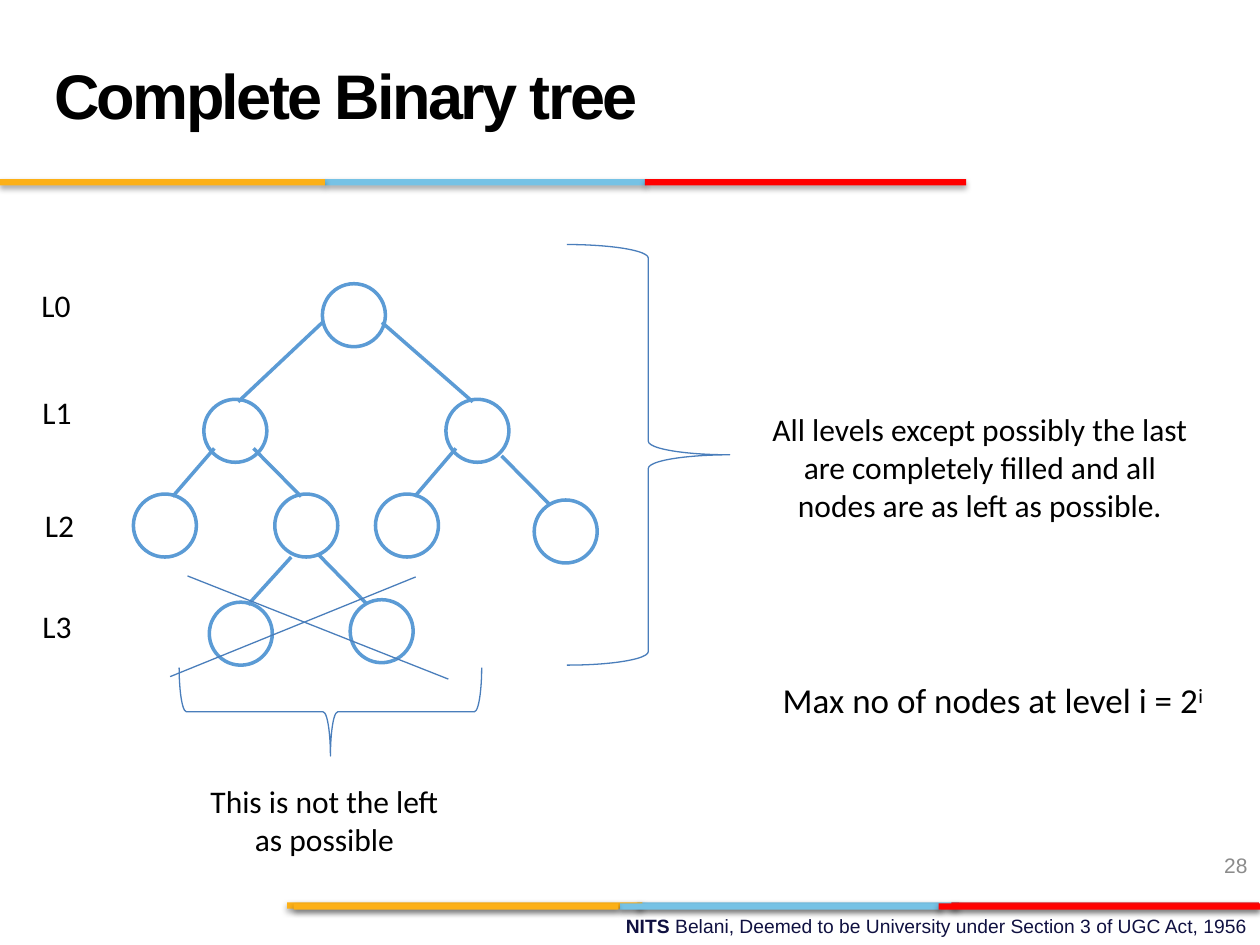
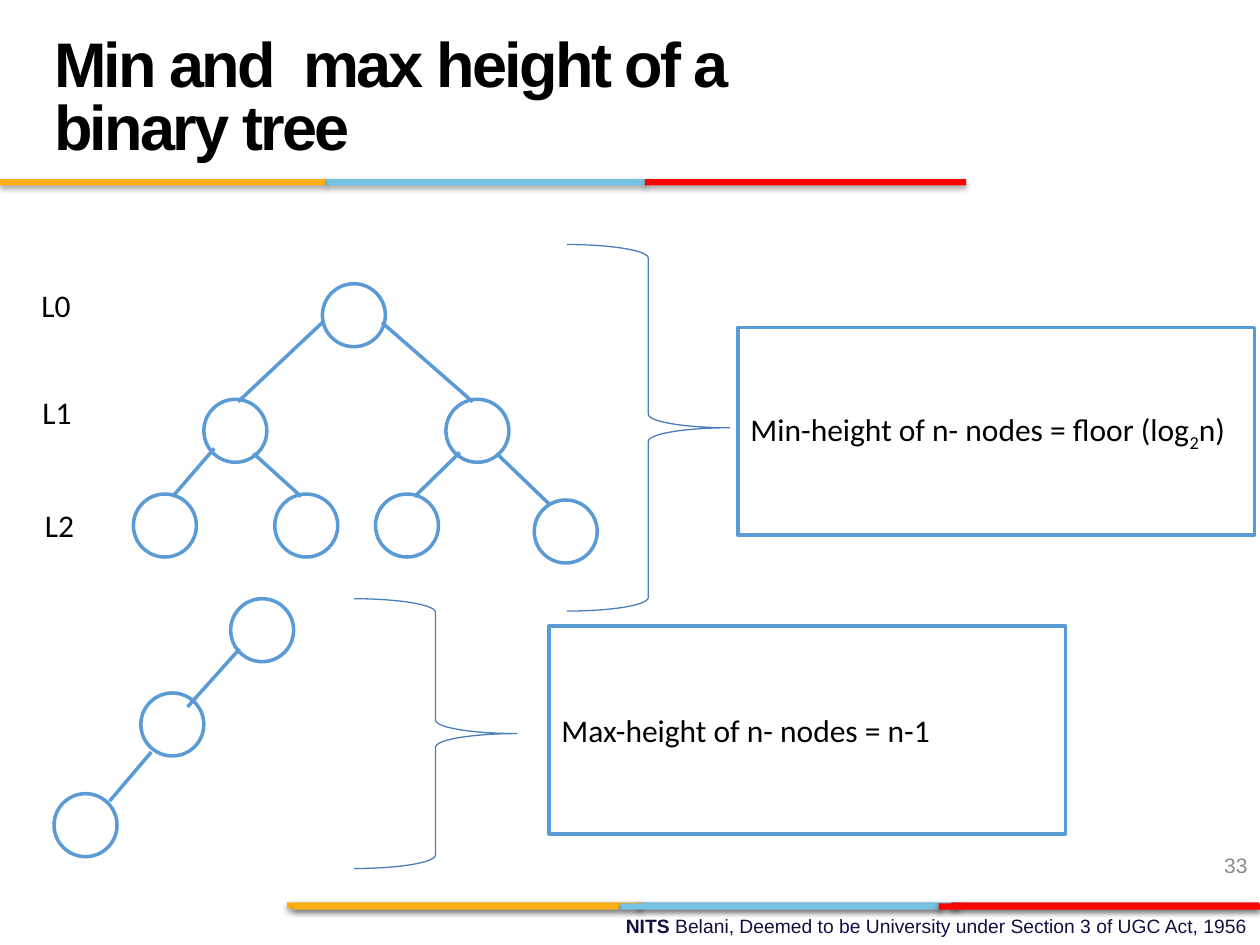
from lxml import etree
from pptx import Presentation
from pptx.dml.color import RGBColor
from pptx.enum.shapes import MSO_CONNECTOR, MSO_SHAPE
from pptx.enum.text import MSO_ANCHOR, PP_ALIGN
from pptx.oxml import parse_xml
from pptx.oxml.ns import nsdecls, qn
from pptx.util import Cm, Pt

OVAL, RECTANGLE, BRACE = MSO_SHAPE.OVAL, MSO_SHAPE.RECTANGLE, MSO_SHAPE.RIGHT_BRACE
STRAIGHT = MSO_CONNECTOR.STRAIGHT
LEFT, CENTER, RIGHT = PP_ALIGN.LEFT, PP_ALIGN.CENTER, PP_ALIGN.RIGHT
TOP, MIDDLE = MSO_ANCHOR.TOP, MSO_ANCHOR.MIDDLE
color = RGBColor.from_string

WHITE, BLACK, GRAY, NAVY = "FFFFFF", "000000", "8B8B8B", "101141"
YELLOW, SKY, RED, CRIMSON = "FCB017", "76C2E5", "FF0000", "E31C24"
TREE_BLUE, MARK_BLUE = "5B9BD5", "4A7EBB"
TREE_WIDTH, MARK_WIDTH = 2, 0.75
NODE = 1.27

# Bands: top, then (left, width, colour) from back to front
BANDS = [
    (18.19, [(12.85, 6.48, SKY), (19.18, 6.2, CRIMSON), (5.79, 7.16, YELLOW)]),
    (18.21, [(12.5, 6.48, SKY), (5.92, 6.55, YELLOW), (18.92, 6.48, RED)]),
    (3.61, [(6.55, 6.48, SKY), (0, 6.55, YELLOW), (13, 6.48, RED)]),
]
BAND_SHADOW = (
    f'<a:outerShdw {nsdecls("a")} blurRad="40000" dist="23000" dir="5400000" rotWithShape="0">'
    '<a:srgbClr val="000000"><a:alpha val="35000"/></a:srgbClr></a:outerShdw>'
)

# Tree parts found on both slides
TREE_NODES = [(6.5, 5.72), (4.11, 8.05), (8.99, 8.05),
              (2.69, 9.96), (5.54, 9.96), (7.57, 9.96), (10.77, 10.08)]
TREE_EDGES = [(4.8, 8.1, 6.5, 6.5), (9.53, 8.1, 7.7, 6.5), (3.48, 10.01, 4.32, 9.04)]
LEVELS = [(0.23, 5.72), (0.25, 7.87), (0.3, 10.16), (0.25, 12.19)]

# Braces are (box, rotation); notes are (box, size, alignment, outlined, runs)
SLIDES = [
    {
        "title": "Complete Binary tree",
        "number": "28",
        "nodes": [(4.22, 12.14), (7.06, 12.09)],
        "edges": [(8.36, 10.01, 9.19, 9.04), (6.07, 10.01, 5.11, 9.04),
                  (11.07, 10.16, 10.11, 9.19), (5, 12.19, 5.87, 11.23),
                  (7.39, 12.17, 6.42, 11.18)],
        "cross": [(3.78, 11.61, 9.04, 13.69), (8.38, 11.63, 3.43, 13.64)],
        "levels": 4,
        "braces": [((11.43, 4.93, 3.28, 8.48), 0), ((5.77, 11.3, 1.78, 6.1), 90)],
        "notes": [
            ((15.16, 7.01, 9.19, 4.8), 18, CENTER, False,
             [("All levels except possibly the last are completely filled "
               "and all nodes are as left as possible.", {})]),
            ((15.14, 12.52, 9.75, 3.18), 20, CENTER, False,
             [("Max no of nodes at level i = 2", {}), ("i", {"baseline": "30000"})]),
            ((3.91, 15.42, 5.26, 2.21), 18, CENTER, False,
             [("This is not the left as possible", {})]),
        ],
    },
    {
        "title": "Min and  max height of a binary tree",
        "number": "33",
        "nodes": [(4.65, 12.07), (2.84, 13.97), (1.09, 16)],
        "edges": [(8.36, 10.01, 9.27, 9.12), (6.07, 10.01, 5.11, 9.14),
                  (11.07, 10.16, 10.01, 9.14), (3.78, 14.25, 4.83, 13.08),
                  (2.21, 16.15, 3.05, 15.16)],
        "cross": [],
        "levels": 3,
        "braces": [((11.43, 4.93, 3.28, 7.39), 0), ((7.14, 12.07, 3.28, 5.44), 0)],
        "notes": [
            ((14.88, 6.6, 10.41, 4.19), 18, LEFT, True,
             [("Min-height of n- nodes = floor (log", {}),
              ("2", {"baseline": "-25000"}), ("n)", {})]),
            ((11.07, 12.62, 10.41, 4.19), 18, LEFT, True,
             [("Max-height of n- nodes = n-1", {})]),
        ],
    },
]


def add_figure(slide, kind, box, fill=None, line=None, width=TREE_WIDTH):
    shape = slide.shapes.add_shape(kind, *map(Cm, box))
    shape.shadow.inherit = False
    if fill:
        shape.fill.solid()
        shape.fill.fore_color.rgb = color(fill)
    else:
        shape.fill.background()
    if line:
        shape.line.color.rgb = color(line)
        shape.line.width = Pt(width)
    else:
        shape.line.fill.background()
    return shape


def write_text(shape, runs, size, font="Calibri", ink=BLACK, align=CENTER, anchor=MIDDLE):
    """Fill the shape with one paragraph of (text, run attributes) pairs."""
    frame = shape.text_frame
    frame.word_wrap = True
    frame.vertical_anchor = anchor
    paragraph = frame.paragraphs[0]
    paragraph.alignment = align
    paragraph.font.name = font
    paragraph.font.size = Pt(size)
    paragraph.font.color.rgb = color(ink)
    for text, attributes in runs:
        run = paragraph.add_run()
        run.text = text
        for name, value in attributes.items():
            run.font._element.set(name, value)
    return paragraph


presentation = Presentation()
presentation.slide_width, presentation.slide_height = Cm(25.4), Cm(19.05)

for content in SLIDES:
    slide = presentation.slides.add_slide(presentation.slide_layouts[6])

    # Footer, bands, title and slide number
    footer = slide.shapes.add_textbox(Cm(9.09), Cm(18.31), Cm(16.31), Cm(0.71))
    write_text(footer, [("NITS ", {"b": "1"}),
                        ("Belani, Deemed to be University under Section 3 of UGC Act, 1956", {})],
               11, "Arial", NAVY, RIGHT, TOP)
    for top, segments in BANDS:
        for left, width, fill in segments:
            band = add_figure(slide, RECTANGLE, (left, top, width, 0.13), fill)
            effects = band._element.spPr.find(qn("a:effectLst"))
            effects.append(parse_xml(BAND_SHADOW))
    title = slide.shapes.add_textbox(Cm(0.84), Cm(0.43), Cm(17.58), Cm(3.18))
    paragraph = write_text(title, [(content["title"], {"spc": "-150"})], 36, "Arial", align=LEFT)
    paragraph.font.bold = True
    paragraph.line_spacing = Pt(36)
    number = slide.shapes.add_textbox(Cm(19.48), Cm(16.94), Cm(5.92), Cm(1.02))
    write_text(number, [(content["number"], {})], 12, "Arial", GRAY, RIGHT)

    # Trees
    for left, top in TREE_NODES + content["nodes"]:
        add_figure(slide, OVAL, (left, top, NODE, NODE), WHITE, TREE_BLUE)
    for lines, ink, width in [(TREE_EDGES + content["edges"], TREE_BLUE, TREE_WIDTH),
                              (content["cross"], MARK_BLUE, MARK_WIDTH)]:
        for ends in lines:
            connector = slide.shapes.add_connector(STRAIGHT, *map(Cm, ends))
            connector.line.color.rgb = color(ink)
            connector.line.width = Pt(width)
            etree.SubElement(connector._element.spPr, qn("a:effectLst"))

    # Level labels, braces and notes
    for level, (left, top) in enumerate(LEVELS[:content["levels"]]):
        label = add_figure(slide, RECTANGLE, (left, top, 1.8, 0.86))
        write_text(label, [(f"L{level}", {})], 18)
    for box, rotation in content["braces"]:
        brace = add_figure(slide, BRACE, box, line=MARK_BLUE, width=MARK_WIDTH)
        brace.rotation = rotation
    for box, size, align, outlined, runs in content["notes"]:
        note = add_figure(slide, RECTANGLE, box, line=TREE_BLUE if outlined else None)
        write_text(note, runs, size, align=align)

presentation.save("out.pptx")
